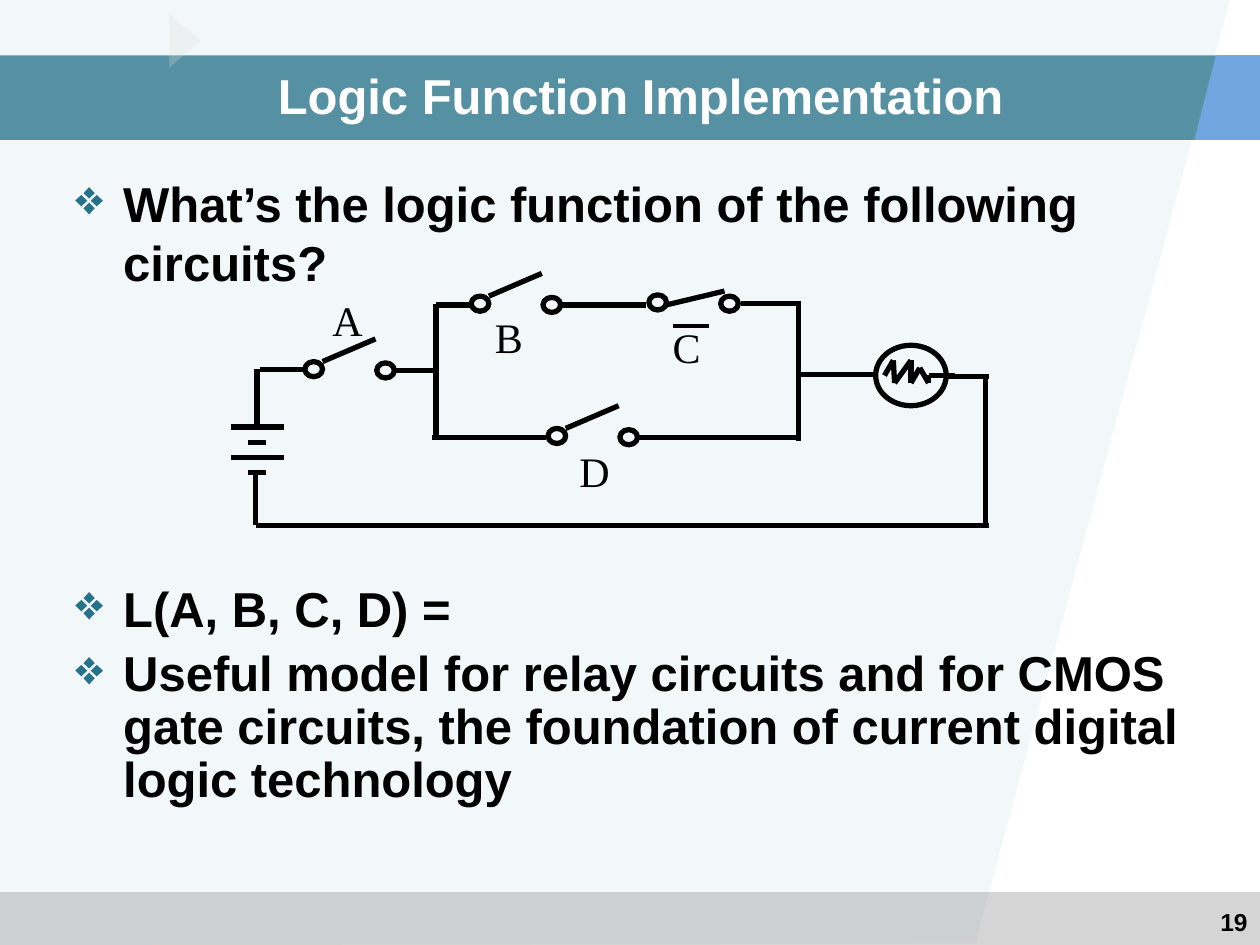
from dataclasses import dataclass
from itertools import pairwise

from lxml import etree
from pptx import Presentation
from pptx.dml.color import RGBColor
from pptx.enum.shapes import MSO_CONNECTOR, MSO_SHAPE
from pptx.enum.text import MSO_ANCHOR, MSO_AUTO_SIZE, PP_ALIGN
from pptx.oxml.ns import qn
from pptx.util import Inches, Pt

RECTANGLE, TRIANGLE, OVAL = MSO_SHAPE.RECTANGLE, MSO_SHAPE.ISOSCELES_TRIANGLE, MSO_SHAPE.OVAL
STRAIGHT = MSO_CONNECTOR.STRAIGHT
CENTER, LEFT, RIGHT = PP_ALIGN.CENTER, PP_ALIGN.LEFT, PP_ALIGN.RIGHT
MIDDLE = MSO_ANCHOR.MIDDLE
NO_FIT, GROW = MSO_AUTO_SIZE.NONE, MSO_AUTO_SIZE.SHAPE_TO_FIT_TEXT

Point = tuple[float, float]


@dataclass(frozen=True)
class Theme:
    ink: str = "000000"
    white: str = "FFFFFF"
    teal: str = "26728A"
    pale: str = "9FCAD3"
    blue: str = "71A5DF"
    footer: str = "969696"
    marker: str = "DDDDDD"
    sans: str = "Arial"
    serif: str = "Times New Roman"
    main_size: float = 28
    label_size: float = 24
    number_size: float = 14
    wire: float = 3
    overline: float = 2.25


@dataclass(frozen=True)
class Switch:
    name: str
    contact: Point
    label: Point
    arm: tuple[Point, Point] = ((0.07, -0.06), (0.49, -0.24))


@dataclass(frozen=True)
class Bullet:
    text: str
    before: float
    spacing: float


THEME = Theme()
CONTACT_GAP = (0.57, 0.01)
SWITCHES = [
    Switch("A", (2.49, 2.93), (2.54, 2.29)),
    Switch("B", (3.81, 2.41), (3.83, 2.42)),
    Switch("C", (5.22, 2.4), (5.24, 2.5), ((0.07, 0.02), (0.53, -0.09))),
    Switch("D", (4.42, 3.46), (4.5, 3.49)),
]
WIRES = [
    ((2.06, 2.93), (2.42, 2.93)),
    ((3.12, 2.94), (3.48, 2.94)),
    ((3.46, 2.41), (3.46, 3.48)),
    ((3.73, 2.42), (3.46, 2.42)),
    ((4.45, 2.42), (5.13, 2.42)),
    ((5.88, 2.41), (6.34, 2.41)),
    ((6.34, 2.39), (6.34, 3.5)),
    ((4.33, 3.47), (3.43, 3.47)),
    ((5.06, 3.47), (6.36, 3.47)),
    ((6.94, 2.97), (6.36, 2.97)),
    ((7.52, 2.99), (7.85, 2.99)),
    ((7.82, 2.99), (7.82, 4.15)),
    ((7.85, 4.17), (2.03, 4.17)),
    ((2.04, 3.39), (2.04, 2.93)),
    ((2.03, 3.77), (2.03, 4.17)),
]
FILAMENT = [(7.02, 2.98), (7.09, 2.86), (7.1, 3.04), (7.23, 2.86), (7.23, 3.04),
            (7.3, 2.92), (7.37, 3.04), (7.37, 2.98), (7.58, 2.98)]
BULLETS = [
    Bullet("What’s the logic function of the following circuits?", 0, 1),
    Bullet("L(A, B, C, D) =", 164, 1),
    Bullet("Useful model for relay circuits and for CMOS gate circuits, "
           "the foundation of current digital logic technology", 7, 0.9),
]


def paint(shape, color: str, opacity: int = 100) -> None:
    shape.shadow.inherit = False
    shape.fill.solid()
    shape.fill.fore_color.rgb = RGBColor.from_string(color)
    shape.line.fill.background()
    if opacity < 100:
        fill_color = shape.element.spPr.find(qn("a:solidFill"))[0]
        etree.SubElement(fill_color, qn("a:alpha"), val=str(opacity * 1000))


def add_block(slide, kind, left: float, top: float, width: float, height: float,
              color: str, opacity: int):
    block = slide.shapes.add_shape(kind, Inches(left), Inches(top), Inches(width), Inches(height))
    paint(block, color, opacity)
    return block


def add_polygon(slide, points: list[Point], color: str, opacity: int = 100) -> None:
    corners = [(Inches(x), Inches(y)) for x, y in points]
    builder = slide.shapes.build_freeform(*corners[0])
    builder.add_line_segments(corners[1:], close=True)
    paint(builder.convert_to_shape(), color, opacity)


def add_line(slide, start: Point, end: Point, weight: float = THEME.wire) -> None:
    line = slide.shapes.add_connector(STRAIGHT, *(Inches(value) for value in (*start, *end)))
    line.line.color.rgb = RGBColor.from_string(THEME.ink)
    line.line.width = Pt(weight)
    etree.SubElement(line.element.spPr, qn("a:effectLst"))


def add_ring(slide, center: Point, width: float, height: float) -> None:
    ring = slide.shapes.add_shape(OVAL, Inches(center[0] - width / 2), Inches(center[1] - height / 2),
                                  Inches(width), Inches(height))
    ring.shadow.inherit = False
    ring.fill.background()
    ring.line.color.rgb = RGBColor.from_string(THEME.ink)
    ring.line.width = Pt(THEME.wire)


def format_text(para, font: str, size: float, color: str, bold: bool, align=LEFT) -> None:
    para.alignment = align
    for span in para.runs:
        span.font.name = font
        span.font.size = Pt(size)
        span.font.bold = bold
        span.font.color.rgb = RGBColor.from_string(color)


def add_box(slide, left: float, top: float, width: float, height: float, wrap: bool = True):
    box = slide.shapes.add_textbox(Inches(left), Inches(top), Inches(width), Inches(height))
    box.text_frame.word_wrap = wrap
    return box


def draw_background(slide) -> None:
    add_polygon(slide, [(0, 0), (9.76, 0), (7.74, 7.49), (0, 7.5)], THEME.pale, 13)
    add_block(slide, RECTANGLE, 0, 7.08, 10, 0.42, THEME.footer, 40)
    add_block(slide, RECTANGLE, 0, 0.44, 10, 0.67, THEME.teal, 77)
    add_polygon(slide, [(9.65, 0.44), (9.48, 1.11), (10, 1.11), (10, 0.44)], THEME.blue)
    add_block(slide, TRIANGLE, 1.26, 0.2, 0.42, 0.25, THEME.marker, 27).rotation = 90


def write_title(slide, text: str) -> None:
    title = slide.shapes.title
    slide.shapes.element.append(title.element)
    title.left, title.top = Inches(0.5), Inches(0.5)
    title.width, title.height = Inches(9.17), Inches(0.5)
    title.text_frame.text = text
    title.text_frame.auto_size = NO_FIT
    title.text_frame.vertical_anchor = MIDDLE
    format_text(title.text_frame.paragraphs[0], THEME.sans, THEME.main_size, THEME.white, True, CENTER)


def write_bullets(slide, bullets: list[Bullet]) -> None:
    frame = add_box(slide, 0.5, 1.33, 9, 5.58).text_frame
    for index, bullet in enumerate(bullets):
        para = frame.add_paragraph() if index else frame.paragraphs[0]
        para.text = bullet.text
        para.line_spacing = bullet.spacing
        para.space_before = Pt(bullet.before)
        properties = para._p.get_or_add_pPr()
        properties.set("marL", str(Inches(0.38)))
        properties.set("indent", str(Inches(-0.38)))
        bullet_color = etree.SubElement(properties, qn("a:buClr"))
        etree.SubElement(bullet_color, qn("a:srgbClr"), val=THEME.teal)
        etree.SubElement(properties, qn("a:buChar"), char="❖")
        format_text(para, THEME.sans, THEME.main_size, THEME.ink, True)


def draw_switch(slide, switch: Switch) -> None:
    x, y = switch.contact
    for center in (switch.contact, (x + CONTACT_GAP[0], y + CONTACT_GAP[1])):
        add_ring(slide, center, 0.14, 0.12)
    start, end = ((x + dx, y + dy) for dx, dy in switch.arm)
    add_line(slide, start, end)
    label = add_box(slide, *switch.label, 0.43, 0.5, wrap=False)
    label.text_frame.text = switch.name
    label.text_frame.auto_size = GROW
    format_text(label.text_frame.paragraphs[0], THEME.serif, THEME.label_size, THEME.ink, False)


def draw_circuit(slide) -> None:
    add_ring(slide, (7.23, 2.98), 0.56, 0.48)
    for start, end in [*pairwise(FILAMENT), *WIRES]:
        add_line(slide, start, end)
    for plate in range(4):
        y, half = 3.39 + 0.12 * plate, 0.07 if plate % 2 else 0.21
        add_line(slide, (2.04 - half, y), (2.04 + half, y))
    for switch in SWITCHES:
        draw_switch(slide, switch)
    add_line(slide, (5.34, 2.59), (5.63, 2.59), THEME.overline)


def main() -> None:
    deck = Presentation()
    deck.slide_width, deck.slide_height = Inches(10), Inches(7.5)
    slide = deck.slides.add_slide(deck.slide_layouts[5])
    draw_background(slide)
    number = add_box(slide, 7.67, 7.15, 2.33, 0.35)
    number.text_frame.text = "19"
    format_text(number.text_frame.paragraphs[0], THEME.sans, THEME.number_size, THEME.ink, True, RIGHT)
    write_title(slide, "Logic Function Implementation")
    write_bullets(slide, BULLETS)
    draw_circuit(slide)
    deck.save("out.pptx")


if __name__ == "__main__":
    main()
